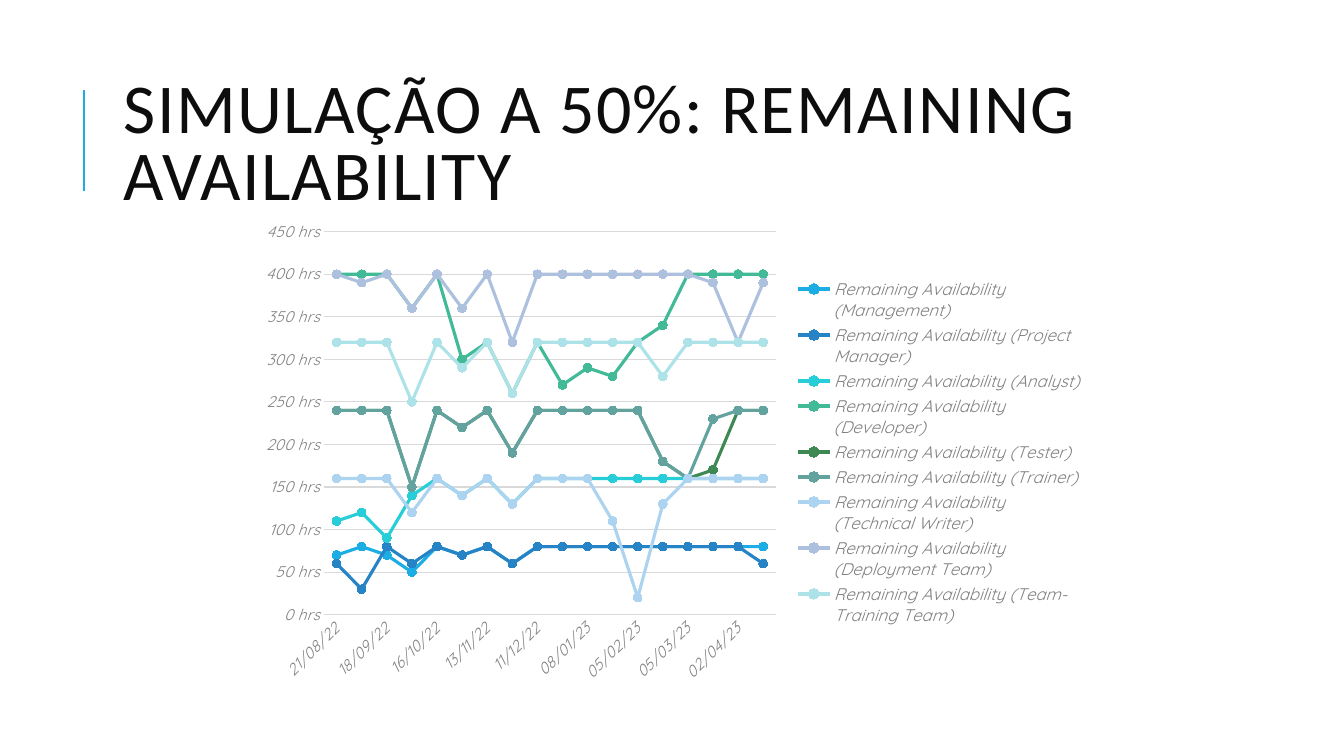
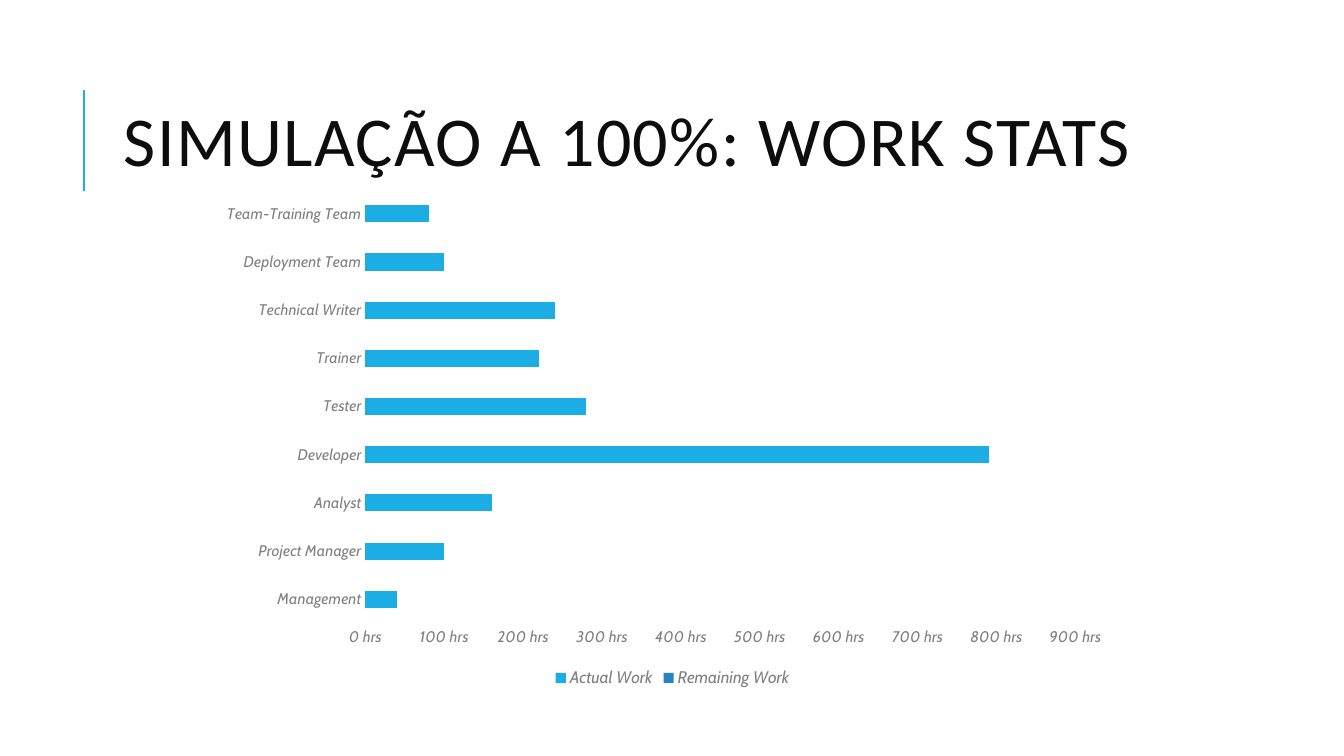
from lxml import etree
from pptx import Presentation
from pptx.chart.data import CategoryChartData
from pptx.dml.color import RGBColor
from pptx.enum.chart import XL_CHART_TYPE, XL_LEGEND_POSITION, XL_MARKER_STYLE, XL_TICK_MARK
from pptx.enum.shapes import MSO_CONNECTOR
from pptx.enum.text import MSO_ANCHOR, MSO_AUTO_SIZE, PP_ALIGN
from pptx.oxml.ns import qn
from pptx.util import Emu, Pt

LINE_CHART = XL_CHART_TYPE.LINE_MARKERS
BAR_CHART = XL_CHART_TYPE.BAR_STACKED
LEGEND_RIGHT = XL_LEGEND_POSITION.RIGHT
LEGEND_BOTTOM = XL_LEGEND_POSITION.BOTTOM
CIRCLE = XL_MARKER_STYLE.CIRCLE
NO_TICK = XL_TICK_MARK.NONE
STRAIGHT = MSO_CONNECTOR.STRAIGHT
MIDDLE = MSO_ANCHOR.MIDDLE
NO_FIT = MSO_AUTO_SIZE.NONE
LEFT = PP_ALIGN.LEFT

EMU_PER_PX = 9525
PAGE_WIDTH, PAGE_HEIGHT = 1280, 720
TITLE_BOX = (108, 61, 1020, 157)
RULE_X, RULE_TOP, RULE_BOTTOM = 80, 86, 182
TITLE_LAYOUT = 5
TITLE_FONT = "Calibri"
INK, GREY, GRID, ACCENT = "0D0D0D", "808080", "D9D9D9", "1CADE4"
HOURS = '#,##0_ "hrs"'
PALETTE = [ACCENT, "2683C6", "27CED7", "42BA97", "3E8853", "62A39F", "ACD3EF", "ADC1DF", "ADE3E8"]

WEEKS = [
    "21/08/22", "04/09/22", "18/09/22", "02/10/22", "16/10/22", "30/10/22",
    "13/11/22", "27/11/22", "11/12/22", "25/12/22", "08/01/23", "22/01/23",
    "05/02/23", "19/02/23", "05/03/23", "19/03/23", "02/04/23", "16/04/23",
]
AVAILABILITY = {
    "Management": [70, 80, 70, 50, 80, 70, 80, 60] + [80] * 10,
    "Project Manager": [60, 30, 80, 60, 80, 70, 80, 60] + [80] * 9 + [60],
    "Analyst": [110, 120, 90, 140, 160, 140, 160, 130] + [160] * 10,
    "Developer": [400, 400, 400, 360, 400, 300, 320, 260, 320, 270, 290, 280, 320, 340, 400, 400, 400, 400],
    "Tester": [240, 240, 240, 150, 240, 220, 240, 190, 240, 240, 240, 240, 240, 180, 160, 170, 240, 240],
    "Trainer": [240, 240, 240, 150, 240, 220, 240, 190, 240, 240, 240, 240, 240, 180, 160, 230, 240, 240],
    "Technical Writer": [160, 160, 160, 120, 160, 140, 160, 130, 160, 160, 160, 110, 20, 130, 160, 160, 160, 160],
    "Deployment Team": [400, 390, 400, 360, 400, 360, 400, 320, 400, 400, 400, 400, 400, 400, 400, 390, 320, 390],
    "Team-Training Team": [320, 320, 320, 250, 320, 290, 320, 260, 320, 320, 320, 320, 320, 280, 320, 320, 320, 320],
}
WORK = {
    "Actual Work": [40, 100, 160, 790, 280, 220, 240, 100, 80],
    "Remaining Work": [0] * 9,
}


def px(length):
    """Turn pixels into EMU."""
    return Emu(length * EMU_PER_PX)


def color(hex_code):
    """Turn a hex string into a colour."""
    return RGBColor.from_string(hex_code)


def style_font(font, name, size, hex_code, italic=False):
    """Set the face, size, colour and slant of a font."""
    font.name = name
    font.size = Pt(size)
    font.italic = italic
    font.color.rgb = color(hex_code)


def add_rule(page):
    """Draw the accent rule beside the title."""
    rule = page.shapes.add_connector(STRAIGHT, px(RULE_X), px(RULE_BOTTOM), px(RULE_X), px(RULE_TOP))
    rule.line.color.rgb = color(ACCENT)
    rule.line.width = Pt(1.5)
    etree.SubElement(rule._element.spPr, qn("a:effectLst"))


def add_title(page, text):
    """Place and format the title placeholder."""
    title = page.shapes.title
    title.left, title.top, title.width, title.height = map(px, TITLE_BOX)
    frame = title.text_frame
    frame.text = text
    frame.word_wrap = True
    frame.auto_size = NO_FIT
    frame.vertical_anchor = MIDDLE
    para = frame.paragraphs[0]
    para.alignment = LEFT
    para.line_spacing = 0.8
    span = para.runs[0]
    style_font(span.font, TITLE_FONT, 50, INK)
    span.font._element.set("spc", "100")


def add_page(deck, title):
    """Add a slide with the shared rule and title."""
    page = deck.slides.add_slide(deck.slide_layouts[TITLE_LAYOUT])
    add_rule(page)
    add_title(page, title)
    return page


def style_axis(axis, font_name):
    """Hide the line and ticks of an axis and format its labels."""
    axis.major_tick_mark = NO_TICK
    axis.minor_tick_mark = NO_TICK
    axis.has_major_gridlines = False
    axis.format.line.fill.background()
    style_font(axis.tick_labels.font, font_name, 11, GREY, True)


def add_hours_chart(page, box, kind, categories, series, font_name, legend_position, step):
    """Add a chart measured in hours, with nine steps on its value axis."""
    data = CategoryChartData()
    data.categories = categories
    for name, values in series.items():
        data.add_series(name, values)
    chart = page.shapes.add_chart(kind, *map(px, box), data).chart
    chart.has_title = False
    style_font(chart.font, font_name, 11, GREY, True)
    for axis in (chart.category_axis, chart.value_axis):
        style_axis(axis, font_name)
    hours = chart.value_axis
    hours.minimum_scale = 0
    hours.maximum_scale = 9 * step
    hours.major_unit = step
    hours.tick_labels.number_format = HOURS
    hours.tick_labels.number_format_is_linked = False
    chart.has_legend = True
    chart.legend.position = legend_position
    chart.legend.include_in_layout = False
    style_font(chart.legend.font, font_name, 12, GREY, True)
    chart.plots[0].vary_by_categories = False
    return chart


def add_availability_chart(page, box):
    """Add the line chart of remaining availability."""
    series = {f"Remaining Availability ({role})": values for role, values in AVAILABILITY.items()}
    chart = add_hours_chart(page, box, LINE_CHART, WEEKS, series, "Quicksand", LEGEND_RIGHT, 50)
    chart.value_axis.has_major_gridlines = True
    grid = chart.value_axis.major_gridlines.format.line
    grid.color.rgb = color(GRID)
    grid.width = Pt(0.75)
    weeks = chart.category_axis._element
    weeks.find(qn("c:txPr")).find(qn("a:bodyPr")).set("rot", "-2700000")
    skip = etree.Element(qn("c:tickLblSkip"), val="2")
    weeks.find(qn("c:noMultiLvlLbl")).addprevious(skip)
    for line, hex_code in zip(chart.plots[0].series, PALETTE):
        line.smooth = False
        line.format.line.color.rgb = color(hex_code)
        line.format.line.width = Pt(2.25)
        marker = line.marker
        marker.style = CIRCLE
        marker.size = 6
        marker.format.fill.solid()
        marker.format.fill.fore_color.rgb = color(hex_code)
        marker.format.line.color.rgb = color(hex_code)


def add_work_chart(page, box):
    """Add the stacked bar chart of work per role."""
    chart = add_hours_chart(page, box, BAR_CHART, list(AVAILABILITY), WORK, "Cabin", LEGEND_BOTTOM, 100)
    plot = chart.plots[0]
    plot.gap_width = 182
    plot.overlap = 100
    for bar, hex_code in zip(plot.series, PALETTE):
        bar.format.fill.solid()
        bar.format.fill.fore_color.rgb = color(hex_code)


def main():
    """Build and save the deck."""
    deck = Presentation()
    deck.slide_width, deck.slide_height = px(PAGE_WIDTH), px(PAGE_HEIGHT)
    page = add_page(deck, "SIMULAÇÃO A 50%: REMAINING AVAILABILITY")
    add_availability_chart(page, (237, 202, 805, 457))
    page = add_page(deck, "SIMULAÇÃO A 100%: WORK STATS")
    add_work_chart(page, (215, 171, 851, 488))
    deck.save("out.pptx")


if __name__ == "__main__":
    main()
